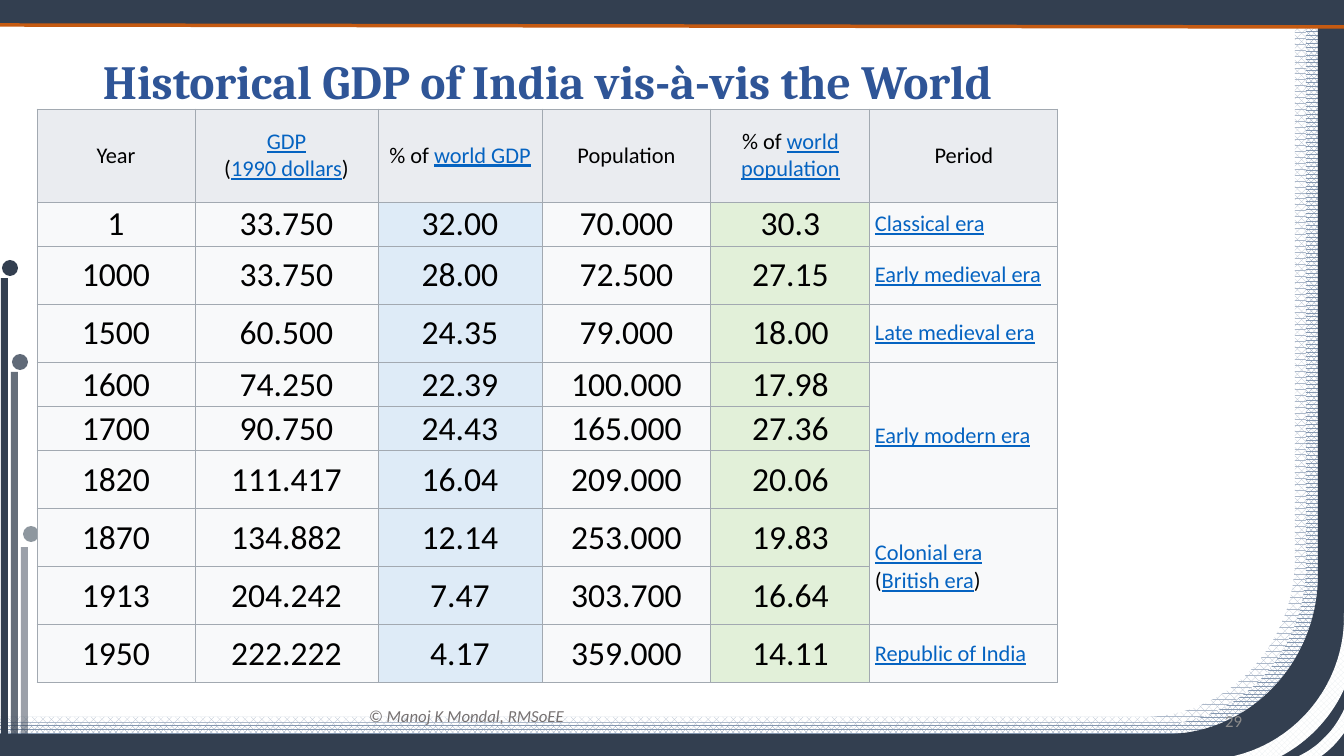
from lxml import etree
from pptx import Presentation
from pptx.dml.color import RGBColor
from pptx.enum.dml import MSO_PATTERN
from pptx.enum.shapes import MSO_CONNECTOR, MSO_SHAPE
from pptx.enum.text import MSO_ANCHOR, PP_ALIGN
from pptx.oxml.ns import qn
from pptx.util import Pt

PX = 9071
NAVY = "333F50"
LINK = "0563C1"


def color(value):
    return RGBColor.from_string(value)


def style_paragraph(paragraph, font_name, size, font_color, alignment=PP_ALIGN.LEFT):
    paragraph.alignment = alignment
    paragraph.font.name = font_name
    paragraph.font.size = Pt(size)
    paragraph.font.color.rgb = color(font_color)


presentation = Presentation()
presentation.slide_width = 1344 * PX
presentation.slide_height = 756 * PX
slide = presentation.slides.add_slide(presentation.slide_layouts[6])
shapes = slide.shapes

RECTANGLE, OVAL = MSO_SHAPE.RECTANGLE, MSO_SHAPE.OVAL
CHECKER = MSO_PATTERN.LARGE_CHECKER_BOARD
frame_bands = [
    ([(1295, 14), (1333, 14), (1333, 749), (-1, 749), (-1, 717), (1143, 717),
      (1227, 717, 1295, 646, 1295, 557), (1295, 17)], MSO_PATTERN.PERCENT_60, "ADB9CA"),
    ([(1305, 7), (1344, 7), (1344, 758), (-1, 758), (-1, 725), (1154, 725),
      (1238, 725, 1306, 654, 1306, 565), (1306, 25), (1306, 19, 1306, 14, 1305, 8)],
     MSO_PATTERN.PERCENT_75, "8497B0"),
    ([(1316, 10), (1344, 10), (1344, 759), (0, 759), (0, 734), (1, 734), (1166, 734),
      (1250, 734, 1318, 662, 1318, 575), (1318, 33), (1318, 27, 1318, 22, 1317, 16)],
     None, NAVY),
]
corner_arcs = [
    ([(1344, 613), (1357, 613), (1357, 630), (1357, 709, 1292, 773, 1214, 773),
      (1201, 773), (1202, 768), (1203, 759), (1216, 759),
      (1288, 752, 1344, 690, 1344, 617)], CHECKER, "EAEFF1"),
    ([(1353, 655), (1361, 655), (1362, 667), (1366, 721, 1327, 769, 1276, 773),
      (1267, 774), (1268, 769), (1268, 764), (1277, 763),
      (1323, 755, 1357, 710, 1353, 658)], CHECKER, "EAEFF1"),
]
ornaments = [
    (RECTANGLE, 1, 278, 7, 480, NAVY, 100),
    (RECTANGLE, 11, 372, 7, 386, NAVY, 75),
    (RECTANGLE, 21, 547, 7, 211, NAVY, 49),
    (OVAL, 2, 260, 16, 16, NAVY, 100),
    (OVAL, 23, 526, 16, 16, "8E979F", 100),
    (OVAL, 12, 354, 16, 16, "606A78", 100),
]

for outline, pattern, fill_color in frame_bands + corner_arcs:
    points = []
    curve_starts = []
    for segment in outline:
        if len(segment) == 6:
            curve_starts.append(len(points))
        points.extend(zip(segment[::2], segment[1::2]))
    builder = shapes.build_freeform(*points[0], scale=PX)
    builder.add_line_segments(points[1:], close=True)
    shape = builder.convert_to_shape()
    outline_steps = list(next(shape._element.iter(qn("a:path"))))
    for start in curve_starts:
        curve = etree.Element(qn("a:cubicBezTo"))
        outline_steps[start].addprevious(curve)
        for step in outline_steps[start:start + 3]:
            curve.append(step[0])
            step.getparent().remove(step)
    shape.shadow.inherit = False
    shape.line.fill.background()
    if pattern is None:
        shape.fill.solid()
        shape.fill.fore_color.rgb = color(fill_color)
    else:
        shape.fill.patterned()
        shape.fill.pattern = pattern
        shape.fill.fore_color.rgb = color(fill_color)
        shape.fill.back_color.rgb = color("FFFFFF")

header_bar = shapes.add_shape(RECTANGLE, -2 * PX, -2 * PX, 1346 * PX, 27 * PX)
header_bar.shadow.inherit = False
header_bar.fill.solid()
header_bar.fill.fore_color.rgb = color(NAVY)
header_bar.line.color.rgb = color(NAVY)
header_bar.line.width = Pt(1)

header_rule = shapes.add_connector(MSO_CONNECTOR.STRAIGHT, -2 * PX, 25 * PX, 1344 * PX, 27 * PX)
header_rule.line.color.rgb = color("C55A11")
header_rule.line.width = Pt(2.5)
etree.SubElement(header_rule._element.spPr, qn("a:effectLst"))

for kind, left, top, width, height, fill_color, opacity in ornaments:
    shape = shapes.add_shape(kind, left * PX, top * PX, width * PX, height * PX)
    shape.shadow.inherit = False
    shape.line.fill.background()
    shape.fill.solid()
    shape.fill.fore_color.rgb = color(fill_color)
    if opacity < 100:
        fill_element = shape._element.spPr.find(qn("a:solidFill"))[0]
        etree.SubElement(fill_element, qn("a:alpha"), val=str(opacity * 1000))

labels = [
    ("© Manoj K Mondal, RMSoEE", 359, 701, 312, 30, "Calibri", 12, "767171",
     PP_ALIGN.LEFT, MSO_ANCHOR.TOP, False, True),
    ("Historical GDP of India vis-à-vis the World", 93, 40, 1159, 88, "Cambria", 34, "2F5597",
     PP_ALIGN.LEFT, MSO_ANCHOR.MIDDLE, True, False),
    ("29", 950, 701, 302, 40, "Calibri", 12, "8C8C8C",
     PP_ALIGN.RIGHT, MSO_ANCHOR.MIDDLE, False, False),
]
for text, left, top, width, height, font_name, size, font_color, alignment, anchor, bold, italic in labels:
    text_frame = shapes.add_textbox(left * PX, top * PX, width * PX, height * PX).text_frame
    text_frame.word_wrap = True
    text_frame.vertical_anchor = anchor
    paragraph = text_frame.paragraphs[0]
    paragraph.text = text
    style_paragraph(paragraph, font_name, size, font_color, alignment)
    paragraph.font.bold = bold
    paragraph.font.italic = italic
    if bold:
        paragraph.line_spacing = 0.9

rows = [
    ("Year", "|GDP|\n(|1990 dollars|)", "% of |world GDP", "Population",
     "% of |world population", "Period"),
    ("1", "33.750", "32.00", "70.000", "30.3", "|Classical era"),
    ("1000", "33.750", "28.00", "72.500", "27.15", "|Early medieval era"),
    ("1500", "60.500", "24.35", "79.000", "18.00", "|Late medieval era"),
    ("1600", "74.250", "22.39", "100.000", "17.98", "|Early modern era"),
    ("1700", "90.750", "24.43", "165.000", "27.36", ""),
    ("1820", "111.417", "16.04", "209.000", "20.06", ""),
    ("1870", "134.882", "12.14", "253.000", "19.83", "|Colonial era|\n(|British era|)"),
    ("1913", "204.242", "7.47", "303.700", "16.64", ""),
    ("1950", "222.222", "4.17", "359.000", "14.11", "|Republic of India"),
]
column_widths = [158, 183, 164, 169, 159, 188]
row_heights = [93, 40, 58, 58, 40, 40, 58, 58, 58, 58]
column_fills = ["F8F9FA", "F8F9FA", "DEEBF7", "F8F9FA", "E2F0D9", "F8F9FA"]
period_column = 5

table = shapes.add_table(len(rows), len(column_widths), 37 * PX, 109 * PX,
                         sum(column_widths) * PX, 576 * PX).table
table.first_row = False
table.horz_banding = False
for column, width in zip(table.columns, column_widths):
    column.width = width * PX
for row, height in zip(table.rows, row_heights):
    row.height = height * PX

for row_index, values in enumerate(rows):
    for column_index, value in enumerate(values):
        cell = table.cell(row_index, column_index)
        is_header = row_index == 0
        is_period = column_index == period_column and not is_header
        cell.vertical_anchor = MSO_ANCHOR.MIDDLE
        cell.margin_left = cell.margin_right = 5 * PX
        cell.margin_top = cell.margin_bottom = 2 * PX
        properties = cell._tc.get_or_add_tcPr()
        for side in ("a:lnL", "a:lnR", "a:lnT", "a:lnB"):
            border = etree.SubElement(properties, qn(side), w=str(Pt(0.75)))
            border_fill = etree.SubElement(border, qn("a:solidFill"))
            etree.SubElement(border_fill, qn("a:srgbClr"), val="A2A9B1")
        cell.fill.solid()
        cell.fill.fore_color.rgb = color("EAECF0" if is_header else column_fills[column_index])
        paragraph = cell.text_frame.paragraphs[0]
        style_paragraph(paragraph, "Calibri", 16 if is_header or is_period else 24, "000000",
                        PP_ALIGN.LEFT if is_period else PP_ALIGN.CENTER)
        for piece_index, piece in enumerate(value.split("|")):
            if piece.startswith("\n"):
                paragraph.add_line_break()
            if piece:
                run = paragraph.add_run()
                run.text = piece.lstrip("\n")
                if piece_index % 2:
                    run.font.color.rgb = color(LINK)
                    run.font.underline = True

for first_row, last_row in [(4, 6), (7, 8)]:
    table.cell(first_row, period_column).merge(table.cell(last_row, period_column))

presentation.save("out.pptx")
